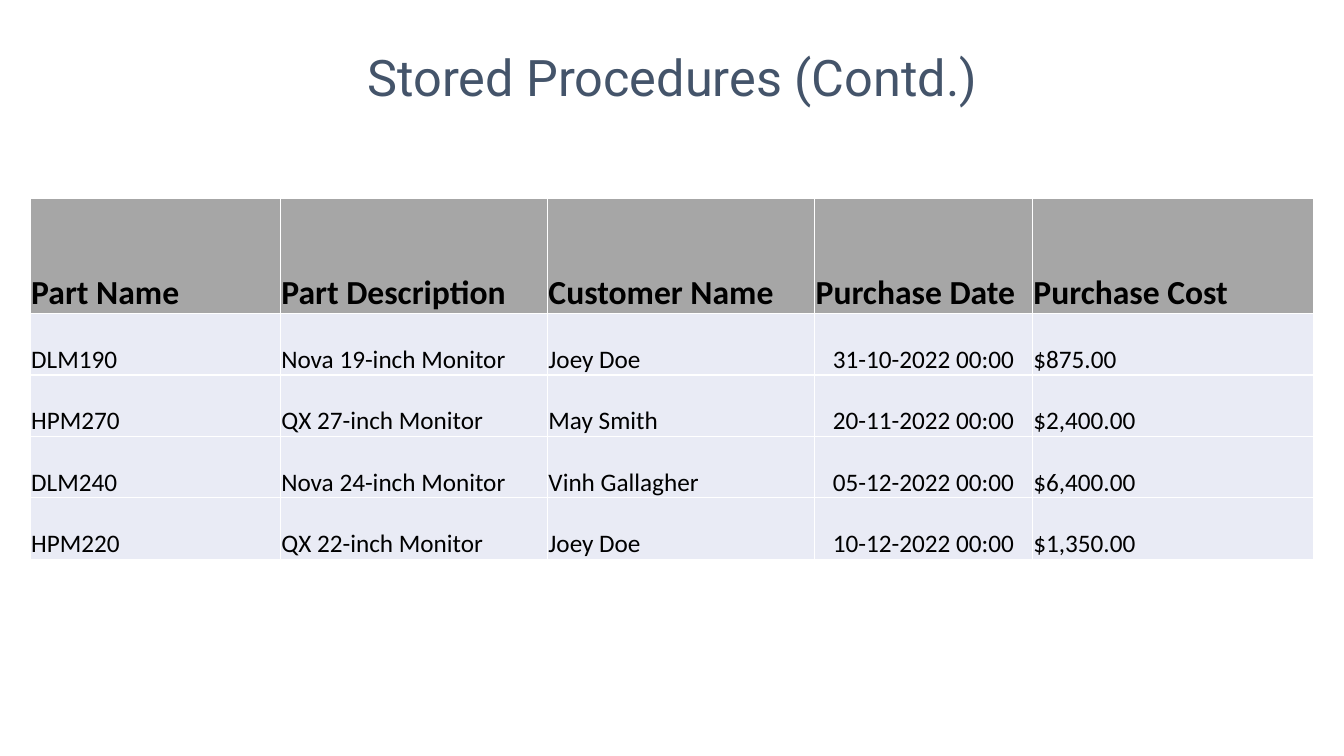
"""Build a slide with a table of part purchases."""
from dataclasses import dataclass

from lxml import etree
from pptx import Presentation
from pptx import util as u
from pptx.dml.color import RGBColor
from pptx.enum import text
from pptx.oxml import parse_xml
from pptx.oxml.ns import nsdecls


@dataclass(frozen=True)
class Theme:
    title_font: str = "Roboto"
    table_font: str = "Calibri"
    title_color: str = "44546A"
    ink: str = "000000"
    line: str = "FFFFFF"
    header_fill: str = "A6A6A6"
    body_fill: str = "E9EBF5"
    title_size: int = 36
    header_size: int = 24
    body_size: int = 18


@dataclass(frozen=True)
class Column:
    heading: str
    width: float
    values: tuple[str, ...]
    align: text.PP_ALIGN = text.PP_ALIGN.LEFT


@dataclass(frozen=True)
class RowStyle:
    height: float
    fill: str
    size: int
    bold: bool


THEME = Theme()
HEADER = RowStyle(1.14, THEME.header_fill, THEME.header_size, True)
BODY = RowStyle(0.61, THEME.body_fill, THEME.body_size, False)
COLUMNS = (
    Column("Part Name", 2.48, ("DLM190", "HPM270", "DLM240", "HPM220")),
    Column("Part Description", 2.65, (
        "Nova 19-inch Monitor", "QX 27-inch Monitor",
        "Nova 24-inch Monitor", "QX 22-inch Monitor")),
    Column("Customer Name", 2.65, ("Joey Doe", "May Smith", "Vinh Gallagher", "Joey Doe")),
    Column("Purchase Date", 2.16, (
        "31-10-2022 00:00", "20-11-2022 00:00",
        "05-12-2022 00:00", "10-12-2022 00:00"), text.PP_ALIGN.CENTER),
    Column("Purchase Cost", 2.79, ("$875.00", "$2,400.00", "$6,400.00", "$1,350.00")),
)


def apply(target, formats: dict) -> None:
    for name, value in formats.items():
        setattr(target, name, value)


def write(para, words: str, color: str, align: text.PP_ALIGN, formats: dict):
    para.alignment = align
    span = para.add_run()
    span.text = words
    span.font.color.rgb = RGBColor.from_string(color)
    apply(span.font, formats)
    return span


def line_xml(tag: str, points: float, alpha: int = 100) -> etree.ElementBase:
    return parse_xml(
        f'<a:{tag} {nsdecls("a")} w="{u.Pt(points)}"><a:solidFill>'
        f'<a:srgbClr val="{THEME.line}"><a:alpha val="{alpha * 1000}"/></a:srgbClr>'
        f'</a:solidFill><a:prstDash val="solid"/></a:{tag}>')


def add_title(page, words: str) -> None:
    box = page.shapes.title
    apply(box, {"left": u.Inches(0.92), "top": u.Inches(0.4),
                "width": u.Inches(11.5), "height": u.Inches(0.72)})
    apply(box.text_frame, {"vertical_anchor": text.MSO_ANCHOR.MIDDLE, "word_wrap": True})
    span = write(box.text_frame.paragraphs[0], words, THEME.title_color,
                 text.PP_ALIGN.CENTER,
                 {"name": THEME.title_font, "size": u.Pt(THEME.title_size)})
    properties = span.font._element
    properties.insert(0, line_xml("ln", 0.75, 10))
    properties.insert(2, parse_xml(
        f'<a:effectLst {nsdecls("a")}><a:outerShdw blurRad="{u.Pt(3)}" dist="{u.Pt(3)}" '
        f'dir="2700000" algn="tl"><a:srgbClr val="{THEME.ink}"><a:alpha val="40000"/>'
        '</a:srgbClr></a:outerShdw></a:effectLst>'))


def fill_cell(cell, words: str, align: text.PP_ALIGN, style: RowStyle) -> None:
    edge = u.Inches(0.01)
    apply(cell, {"margin_left": edge, "margin_right": edge, "margin_top": edge,
                 "margin_bottom": 0, "vertical_anchor": text.MSO_ANCHOR.BOTTOM})
    cell.fill.solid()
    cell.fill.fore_color.rgb = RGBColor.from_string(style.fill)
    write(cell.text_frame.paragraphs[0], words, THEME.ink, align,
          {"name": THEME.table_font, "size": u.Pt(style.size), "bold": style.bold})
    properties = cell._tc.get_or_add_tcPr()
    for place, tag in enumerate(("lnL", "lnR", "lnT", "lnB")):
        properties.insert(place, line_xml(tag, 1))


def add_purchases(page, columns: tuple[Column, ...]) -> None:
    styles = (HEADER, *[BODY] * len(columns[0].values))
    table = page.shapes.add_table(
        len(styles), len(columns), u.Inches(0.3), u.Inches(1.97),
        u.Inches(sum(column.width for column in columns)),
        u.Inches(sum(style.height for style in styles))).table
    for row, style in zip(table.rows, styles):
        row.height = u.Inches(style.height)
    for across, column in enumerate(columns):
        table.columns[across].width = u.Inches(column.width)
        for down, words in enumerate((column.heading, *column.values)):
            align = column.align if down else text.PP_ALIGN.LEFT
            fill_cell(table.cell(down, across), words, align, styles[down])


def main() -> None:
    deck = Presentation()
    apply(deck, {"slide_width": u.Inches(13.33), "slide_height": u.Inches(7.5)})
    page = deck.slides.add_slide(deck.slide_layouts.get_by_name("Title Only"))
    add_title(page, "Stored Procedures (Contd.)")
    add_purchases(page, COLUMNS)
    deck.save("out.pptx")


if __name__ == "__main__":
    main()
